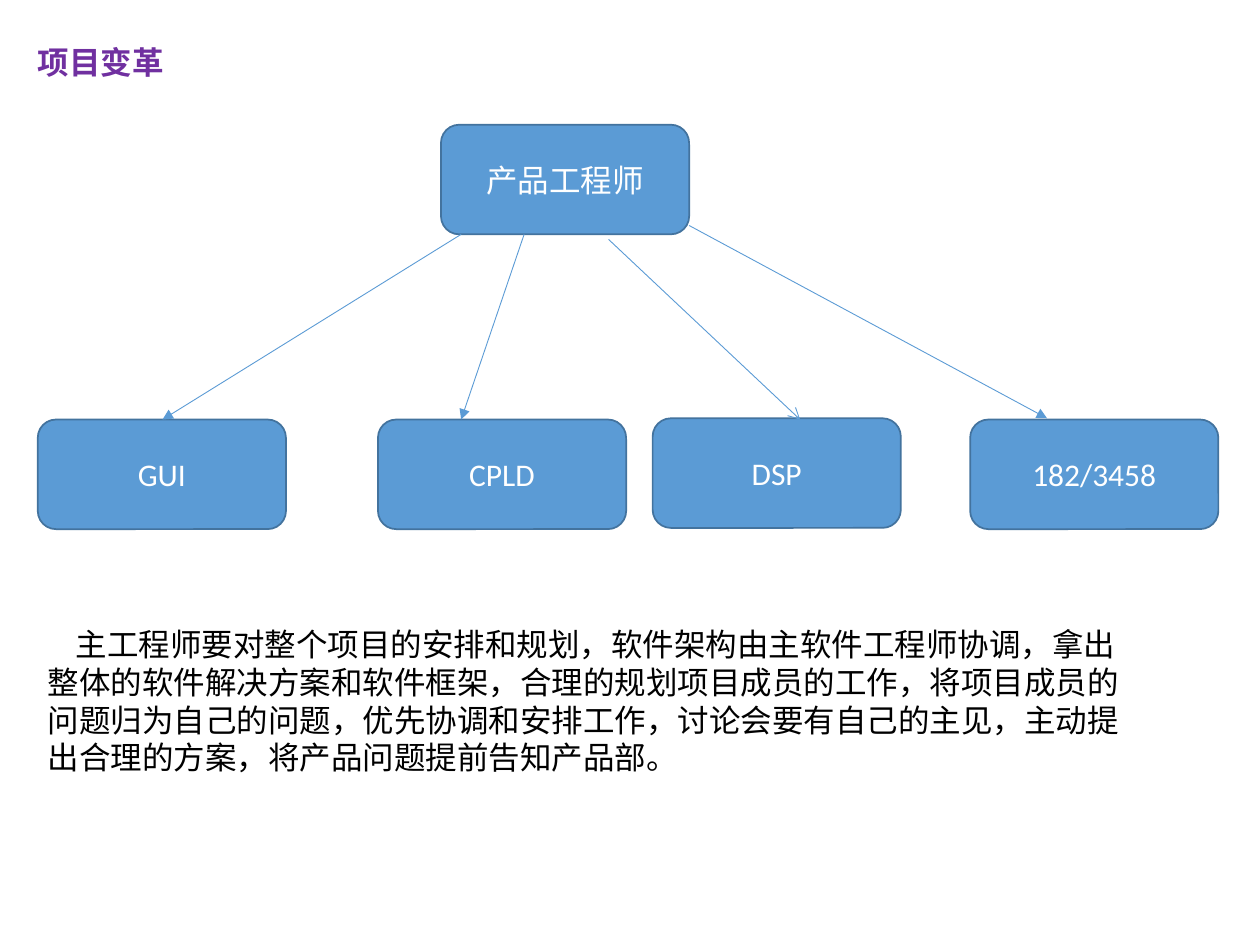
from pptx import Presentation
from pptx.dml.color import RGBColor
from pptx.enum.shapes import MSO_CONNECTOR as Connector, MSO_SHAPE as Shape
from pptx.enum.text import MSO_ANCHOR as Anchor, MSO_AUTO_SIZE as AutoSize, PP_ALIGN as Align
from pptx.oxml.ns import qn
from pptx.util import Inches, Pt
from lxml.etree import SubElement

COLORS = {"title": "7030A0", "text": "000000", "light": "FFFFFF",
          "node": "5B9BD5", "border": "43739E"}
NODE_SIZE = (1.97, 0.87)
ROOT = ("产品工程师", 3.2, 0)
TEAMS = [("GUI", 0, 2.34), ("CPLD", 2.7, 2.34),
         ("DSP", 4.88, 2.33), ("182/3458", 7.4, 2.34)]
ARROWS = [((3.36, 0.87), (0.99, 2.34), "triangle"),
          ((3.86, 0.87), (3.36, 2.34), "triangle"),
          ((5.17, 0.8), (8.01, 2.33), "triangle"),
          ((4.53, 0.91), (6.05, 2.34), "arrow")]
BODY = ("主工程师要对整个项目的安排和规划，软件架构由主软件工程师协调，拿出整体的软件解决方案和软件框架，"
        "合理的规划项目成员的工作，将项目成员的问题归为自己的问题，优先协调和安排工作，"
        "讨论会要有自己的主见，主动提出合理的方案，将产品问题提前告知产品部。")


def color(name):
    return RGBColor.from_string(COLORS[name])


def place(shape, box):
    for name, value in zip(("left", "top", "width", "height"), box):
        setattr(shape, name, Inches(value))


def write(shape, text, font, tint, frame_format, align=Align.LEFT, bold=False):
    frame = shape.text_frame
    for name, value in frame_format.items():
        setattr(frame, name, value)
    para = frame.paragraphs[0]
    for name, value in {"alignment": align, "space_before": Pt(0), "line_spacing": 1.0}.items():
        setattr(para, name, value)
    span = para.add_run()
    span.text = text
    for name, value in {"name": font, "size": Pt(18), "bold": bold}.items():
        setattr(span.font, name, value)
    span.font.color.rgb = color(tint)
    return para


def add_title(page, box):
    place(page.shapes.title, box)
    write(page.shapes.title, "项目变革", "Arial", "title",
          {"word_wrap": False, "auto_size": AutoSize.SHAPE_TO_FIT_TEXT,
           "vertical_anchor": Anchor.TOP}, bold=True)


def add_body(page, box):
    body = page.placeholders[1]
    place(body, box)
    para = write(body, BODY, "Arial", "text",
                 {"word_wrap": True, "auto_size": AutoSize.SHAPE_TO_FIT_TEXT,
                  "vertical_anchor": Anchor.TOP})
    props = para._p.get_or_add_pPr()
    props.set("marL", "0")
    props.set("indent", str(Inches(0.22)))
    SubElement(props, qn("a:buNone"))


def add_node(page, text, left, top):
    node = page.shapes.add_shape(Shape.ROUNDED_RECTANGLE, 0, 0, 0, 0)
    place(node, (left, top, *NODE_SIZE))
    node.shadow.inherit = False
    node.fill.solid()
    node.fill.fore_color.rgb = color("node")
    node.line.color.rgb = color("border")
    node.line.width = Pt(1)
    write(node, text, "Calibri", "light",
          {"word_wrap": True, "vertical_anchor": Anchor.MIDDLE}, Align.CENTER)


def add_arrow(page, start, end, head):
    arrow = page.shapes.add_connector(Connector.STRAIGHT, *map(Inches, start + end))
    arrow.line.color.rgb = color("node")
    arrow.line.width = Pt(0.5)
    SubElement(arrow.line._get_or_add_ln(), qn("a:tailEnd"), type=head)
    SubElement(arrow._element.spPr, qn("a:effectLst"))


def add_chart_of_roles(page, left, top):
    for text, x, y in [ROOT, *TEAMS]:
        add_node(page, text, left + x, top + y)
    for start, end, head in ARROWS:
        points = [(left + x, top + y) for x, y in (start, end)]
        add_arrow(page, *points, head)


deck = Presentation()
deck.slide_width, deck.slide_height = Inches(10), Inches(7.5)
page = deck.slides.add_slide(deck.slide_layouts[1])
add_title(page, (0.2, 0.29, 1.22, 0.4))
add_chart_of_roles(page, 0.3, 0.99)
add_body(page, (0.28, 4.91, 8.82, 1.31))
deck.save("out.pptx")
